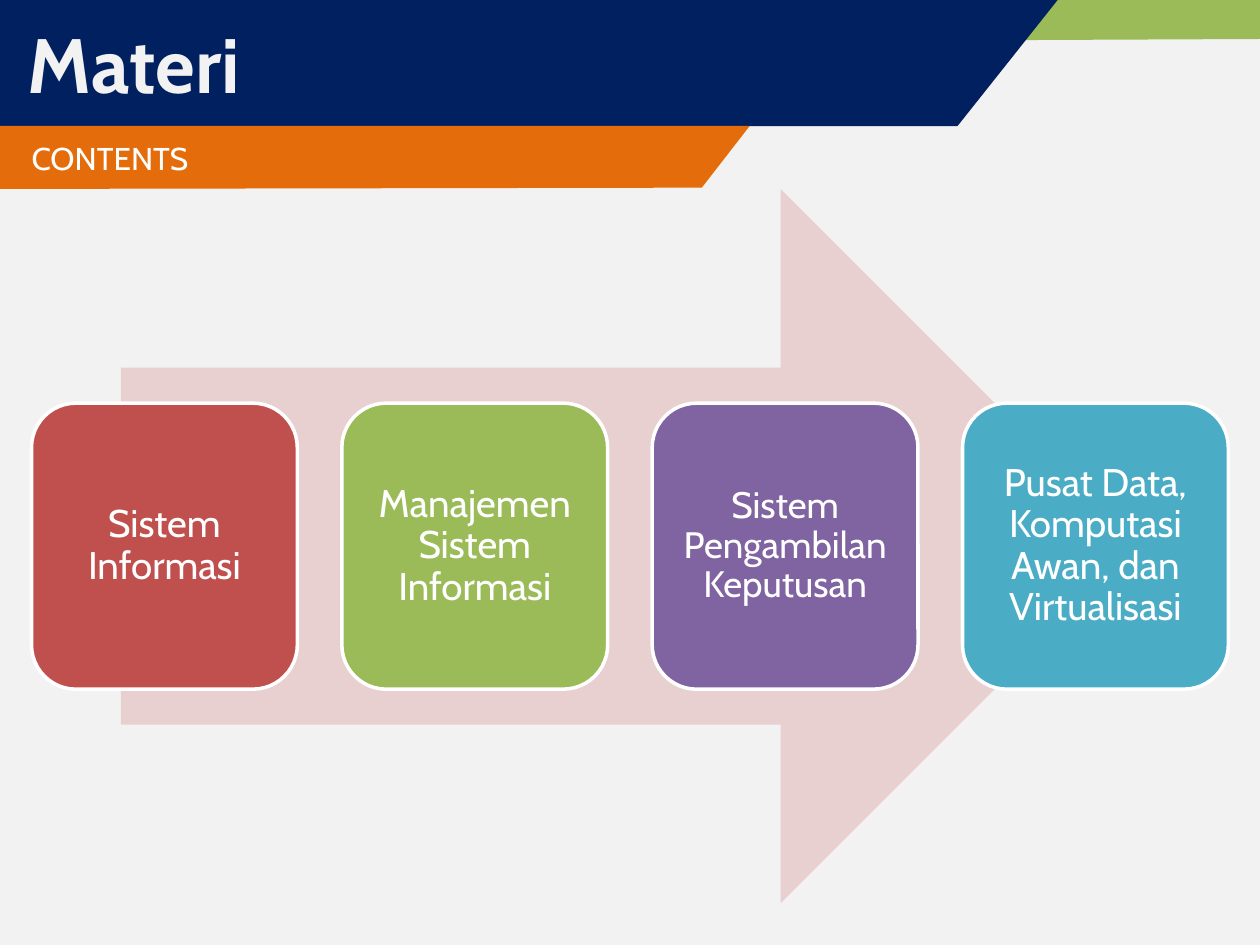
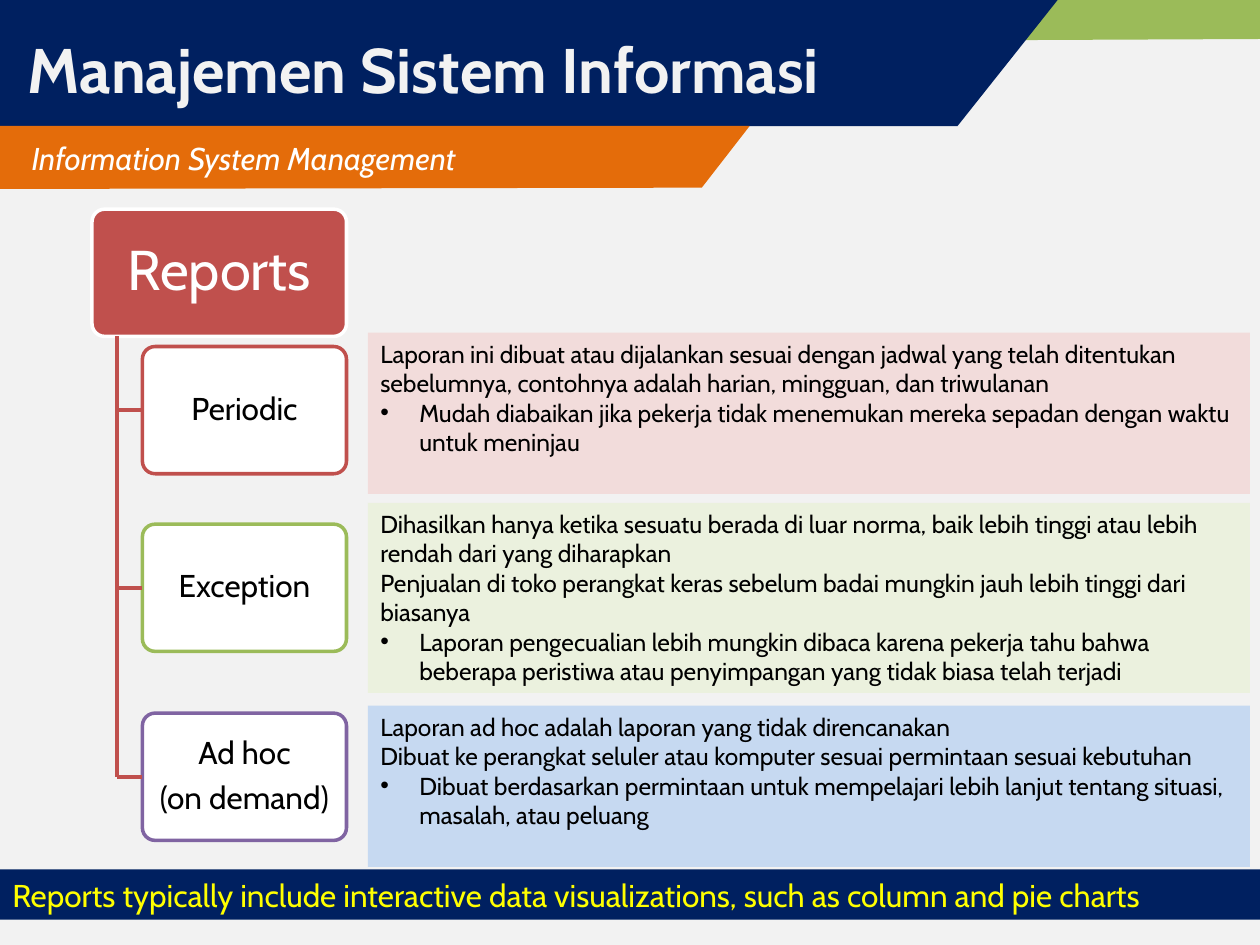
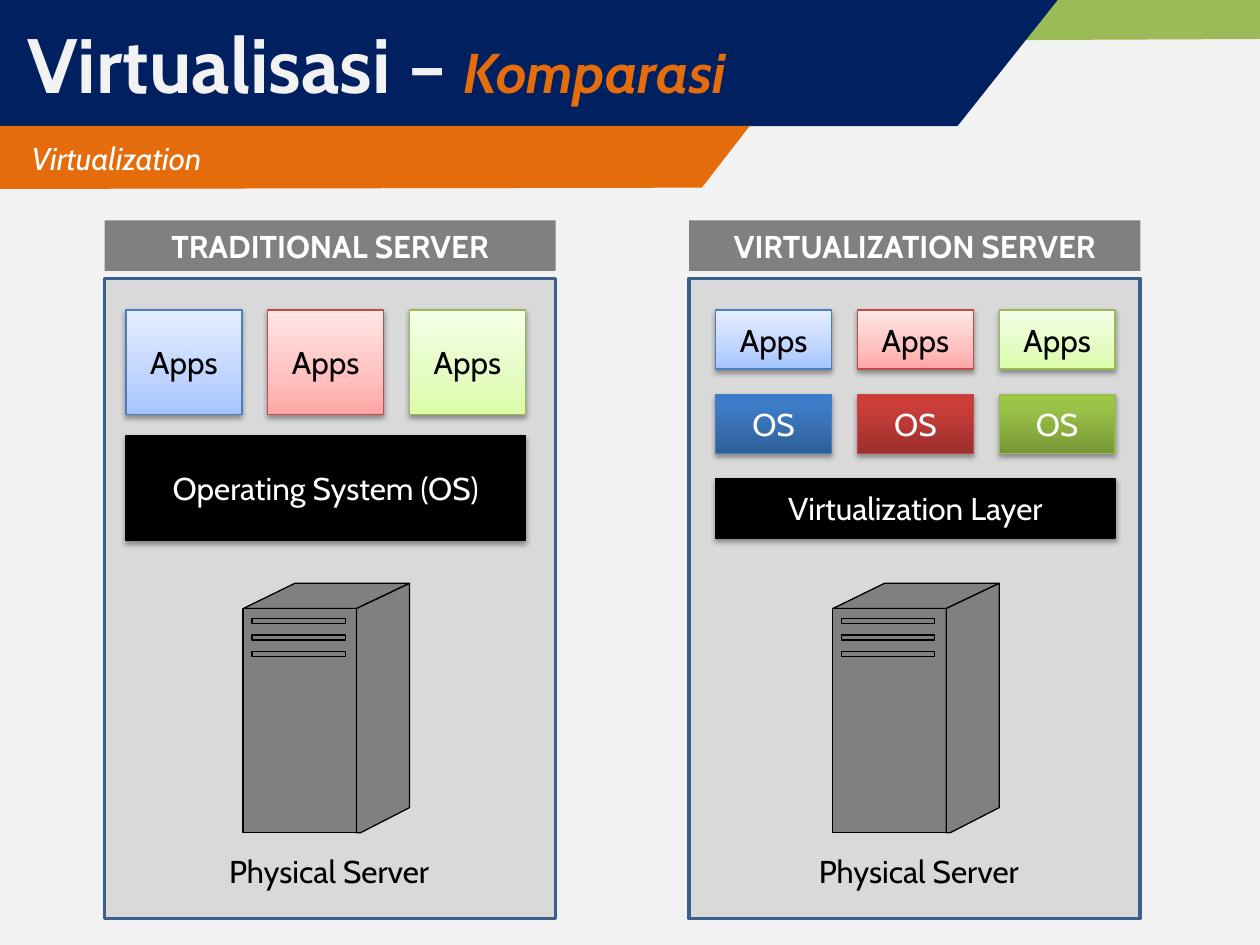
from lxml import etree
from pptx import Presentation
from pptx.dml.color import RGBColor
from pptx.enum import shapes, text
from pptx.oxml.ns import qn
from pptx.util import Inches, Pt

FONT = "Cabin"
NAVY, ORANGE, GREEN, RED = "002060", "E46C0A", "9BBB59", "C0504D"
PURPLE, TEAL, PALE, GRAY = "8064A2", "4BACC6", "F2F2F2", "808080"
WHITE, BLACK, YELLOW = "FFFFFF", "000000", "FFFF00"
RECT = shapes.MSO_SHAPE.RECTANGLE
ROUND = shapes.MSO_SHAPE.ROUNDED_RECTANGLE
LEFT, CENTER = text.PP_ALIGN.LEFT, text.PP_ALIGN.CENTER
TOP, MIDDLE = text.MSO_ANCHOR.TOP, text.MSO_ANCHOR.MIDDLE

# Bands shared by all slides: outline points and fill
CORNER_BAND = [(5.69, 0), (10, 0), (10, 0.31), (5.58, 0.33)], GREEN
TITLE_BAND = [(0, 0), (8.41, -0.02), (7.6, 1), (0, 1)], NAVY
SUBTITLE_BAND = [(0, 1), (5.95, 1), (5.57, 1.49), (0, 1.5)], ORANGE

TOPICS = [
    ("Sistem Informasi", RED, 22),
    ("Manajemen Sistem Informasi", GREEN, 22),
    ("Sistem Pengambilan Keputusan", PURPLE, 21),
    ("Pusat Data, Komputasi Awan, dan Virtualisasi", TEAL, 22),
]

# Name lines, outline, top of name box, panel fill, panel top, panel height,
# panel lines (the last one is bulleted)
REPORTS = [
    (["Periodic"], RED, 2.75, "F2DCDB", 2.64, 1.28, [
        "Laporan ini dibuat atau dijalankan sesuai dengan jadwal yang telah ditentukan "
        "sebelumnya, contohnya adalah harian, mingguan, dan triwulanan",
        "Mudah diabaikan jika pekerja tidak menemukan mereka sepadan dengan waktu "
        "untuk meninjau"]),
    (["Exception"], GREEN, 4.16, "EBF1DE", 3.99, 1.51, [
        "Dihasilkan hanya ketika sesuatu berada di luar norma, baik lebih tinggi atau "
        "lebih rendah dari yang diharapkan",
        "Penjualan di toko perangkat keras sebelum badai mungkin jauh lebih tinggi "
        "dari biasanya",
        "Laporan pengecualian lebih mungkin dibaca karena pekerja tahu bahwa beberapa "
        "peristiwa atau penyimpangan yang tidak biasa telah terjadi"]),
    (["Ad hoc", "(on demand)"], PURPLE, 5.66, "C6D9F1", 5.6, 1.28, [
        "Laporan ad hoc adalah laporan yang tidak direncanakan",
        "Dibuat ke perangkat seluler atau komputer sesuai permintaan sesuai kebutuhan",
        "Dibuat berdasarkan permintaan untuk mempelajari lebih lanjut tentang situasi, "
        "masalah, atau peluang"]),
]
REPORTS_NOTE = ("Reports typically include interactive data visualizations, "
                "such as column and pie charts")

# Gradient stops run from bottom to top
TILE_LINES = ["4B7EBC", "BF4C48", "98B955"]
APP_GRADIENTS = [
    [(0, "A4C4FF"), (35, "BFD4FF"), (100, "E6EEFF")],
    [(0, "FFA6A5"), (35, "FFC0BF"), (100, "FFE7E7")],
    [(0, "DAFDA7"), (35, "E4FCC2"), (100, "F5FFE7")],
]
OS_GRADIENTS = [
    [(0, "2F5F99"), (80, "3D7CC7"), (100, "3A7CCB")],
    [(0, "9C2F2D"), (80, "CB3E3A"), (100, "CE3B37")],
    [(0, "779737"), (80, "9BC348"), (100, "9DC746")],
]
APP_ROW = "Apps", APP_GRADIENTS, BLACK
OS_ROW = "OS", OS_GRADIENTS, WHITE
# Heading, panel left, content left, tile height, row step, tile rows, black bar
SERVERS = [
    ("TRADITIONAL SERVER", 0.83, 1, 0.83, 1, [APP_ROW], "Operating System (OS)"),
    ("VIRTUALIZATION SERVER", 5.47, 5.68, 0.47, 0.67, [APP_ROW, OS_ROW],
     "Virtualization Layer"),
]
SERVER_FACES = [
    [(0, 0.2), (0.41, 0), (1.32, 0), (0.9, 0.2)],
    [(0, 0.2), (0.9, 0.2), (0.9, 1.98), (0, 1.98)],
    [(0.9, 0.2), (1.32, 0), (1.32, 1.78), (0.93, 1.98), (0.9, 1.98)],
]


def rgb(color):
    return RGBColor.from_string(color)


def paint(sp, fill, line=None, width=0.75):
    sp.shadow.inherit = False
    sp.fill.solid()
    sp.fill.fore_color.rgb = rgb(fill)
    if line:
        sp.line.color.rgb = rgb(line)
        sp.line.width = Pt(width)
    else:
        sp.line.fill.background()
    return sp


def shape(s, kind, box, fill, line=None, width=0.75):
    return paint(s.shapes.add_shape(kind, *map(Inches, box)), fill, line, width)


def polygon(s, points, fill, line=None):
    points = [(Inches(x), Inches(y)) for x, y in points]
    builder = s.shapes.build_freeform(*points[0], scale=1.0)
    builder.add_line_segments(points[1:], close=True)
    return paint(builder.convert_to_shape(), fill, line)


def format_run(r, size, color, bold=False, italic=False):
    r.font.name = FONT
    r.font.size = Pt(size)
    r.font.color.rgb = rgb(color)
    r.font.bold = bold
    r.font.italic = italic


def write(sp, lines, size, color, align=CENTER, anchor=MIDDLE, insets=(0.1, 0.05, 0.1, 0.05),
          spacing=None, after=0, **style):
    """Fill a shape with one paragraph per line; insets are left, top, right, bottom."""
    tf = sp.text_frame
    tf.word_wrap = True
    tf.vertical_anchor = anchor
    tf.margin_left, tf.margin_top, tf.margin_right, tf.margin_bottom = map(Inches, insets)
    for i, line in enumerate(lines):
        p = tf.add_paragraph() if i else tf.paragraphs[0]
        p.text = line
        p.alignment = align
        if spacing:
            p.line_spacing = spacing
        if i < len(lines) - 1:
            p.space_after = Pt(after)
        format_run(p.runs[0], size, color, **style)
    return tf


def bullet(p):
    ppr = p._p.get_or_add_pPr()
    ppr.set("marL", str(Inches(0.31)))
    ppr.set("indent", str(-Inches(0.31)))
    etree.SubElement(ppr, qn("a:buFont"), typeface="Arial")
    etree.SubElement(ppr, qn("a:buChar"), char="•")


def color_element(parent, color):
    return etree.SubElement(parent, qn("a:srgbClr"), val=color)


def set_gradient(sp, stops):
    sp.fill.gradient()
    sp.fill.gradient_angle = 90
    stop_list = sp._element.spPr.find(".//" + qn("a:gsLst"))
    for gs in list(stop_list):
        stop_list.remove(gs)
    for position, color in stops:
        color_element(etree.SubElement(stop_list, qn("a:gs"), pos=str(position * 1000)), color)


def drop_shadow(sp):
    effects = sp._element.spPr.find(qn("a:effectLst"))
    outer = etree.SubElement(effects, qn("a:outerShdw"), blurRad=str(Pt(3.1)),
                             dist=str(Pt(1.7)), dir="5400000", rotWithShape="0")
    etree.SubElement(color_element(outer, BLACK), qn("a:alpha"), val="36000")


def connector(s, x1, y1, x2, y2, color):
    c = s.shapes.add_connector(shapes.MSO_CONNECTOR.STRAIGHT, *map(Inches, (x1, y1, x2, y2)))
    c.line.color.rgb = rgb(color)
    c.line.width = Pt(2)
    etree.SubElement(c._element.spPr, qn("a:effectLst"))
    return c


def new_slide(prs, title, subtitle, size=44, italic=True):
    """Add a slide with the shared bands; return it with its title paragraph."""
    s = prs.slides.add_slide(prs.slide_layouts[6])
    s.background.fill.solid()
    s.background.fill.fore_color.rgb = rgb(PALE)
    for band in (CORNER_BAND, TITLE_BAND):
        polygon(s, *band)
    write(polygon(s, *SUBTITLE_BAND), [subtitle], 18, WHITE, LEFT,
          insets=(0.25, 0.05, 0.1, 0.05), italic=italic)
    box = s.shapes.add_textbox(0, 0, Inches(10), Inches(1))
    # Smaller titles move down to keep the shared baseline
    top = 0.05 + (44 - size) * 0.01
    tf = write(box, [title], size, PALE, LEFT, insets=(0.22, top, 0.1, 0.05), bold=True)
    return s, tf.paragraphs[0]


def contents_slide(prs):
    s, _ = new_slide(prs, "Materi", "CONTENTS", italic=False)
    shape(s, shapes.MSO_SHAPE.RIGHT_ARROW, (0.96, 1.5, 8.07, 5.67), "E8D0D0")
    for i, (topic, fill, size) in enumerate(TOPICS):
        card = shape(s, ROUND, (0.25 + i * 2.463, 3.2, 2.11, 2.27), fill, WHITE, 2)
        write(card, [topic], size, WHITE, insets=[0.09] * 4, spacing=0.9)


def reports_slide(prs):
    s, _ = new_slide(prs, "Manajemen Sistem Informasi", "Information System Management", 36)
    note = shape(s, RECT, (0, 6.9, 10, 0.4), NAVY)
    write(note, [REPORTS_NOTE], 18, YELLOW, LEFT, TOP)

    trunk, name_left, name_w, name_h = 0.93, 1.13, 1.62, 1.01
    root = shape(s, ROUND, (0.73, 1.66, 2.02, name_h), RED, WHITE, 2)
    root.adjustments[0] = 0.1
    write(root, ["Reports"], 32, WHITE, spacing=0.9)
    connector(s, trunk, 2.67, trunk, REPORTS[-1][2] + name_h / 2, RED)

    for name, line, top, fill, panel_top, panel_h, details in REPORTS:
        box = shape(s, ROUND, (name_left, top, name_w, name_h), WHITE, line, 2)
        box.adjustments[0] = 0.1
        write(box, name, 18, BLACK, insets=(0.07, 0.06, 0.07, 0.06), spacing=0.9, after=6)
        middle = top + name_h / 2
        connector(s, trunk, middle, name_left, middle, RED).end_connect(box, 1)
        panel = shape(s, RECT, (2.92, panel_top, 7, panel_h), fill)
        tf = write(panel, details, 14, BLACK, LEFT, TOP)
        bullet(tf.paragraphs[-1])


def tile(s, box, label, fill, line, color):
    """Draw a raised tile; fill is one colour or a list of gradient stops."""
    flat = isinstance(fill, str)
    sp = shape(s, RECT, box, fill if flat else WHITE, line)
    if not flat:
        set_gradient(sp, fill)
    drop_shadow(sp)
    write(sp, [label], 18, color)


def draw_server(s, left, top):
    for face in SERVER_FACES:
        polygon(s, [(left + x, top + y) for x, y in face], GRAY, BLACK)
    for i in range(3):
        shape(s, RECT, (left + 0.07, top + 0.28 + i * 0.13, 0.74, 0.04), GRAY, BLACK)


def comparison_slide(prs):
    s, p = new_slide(prs, "Virtualisasi – ", "Virtualization")
    r = p.add_run()
    r.text = "Komparasi"
    format_run(r, 32, ORANGE, bold=True, italic=True)

    for heading, panel_left, left, tile_h, step, rows, bar in SERVERS:
        shape(s, RECT, (panel_left, 2.21, 3.58, 5.08), "D9D9D9", "3A5F8C", 2)
        write(shape(s, RECT, (panel_left, 1.75, 3.58, 0.4), GRAY), [heading], 18, WHITE, bold=True)
        top = 2.46
        for label, gradients, color in rows:
            for i, (stops, line) in enumerate(zip(gradients, TILE_LINES)):
                tile(s, (left + i * 1.125, top, 0.92, tile_h), label, stops, line, color)
            top += step
        tile(s, (left, top, 3.17, tile_h), bar, BLACK, BLACK, WHITE)
        draw_server(s, left + 0.93, 4.63)
        caption = s.shapes.add_textbox(*map(Inches, (left + 0.72, 6.71, 1.85, 0.4)))
        write(caption, ["Physical Server"], 18, BLACK, LEFT, TOP)


def main():
    prs = Presentation()
    prs.slide_width, prs.slide_height = Inches(10), Inches(7.5)
    contents_slide(prs)
    reports_slide(prs)
    comparison_slide(prs)
    prs.save("out.pptx")


if __name__ == "__main__":
    main()
